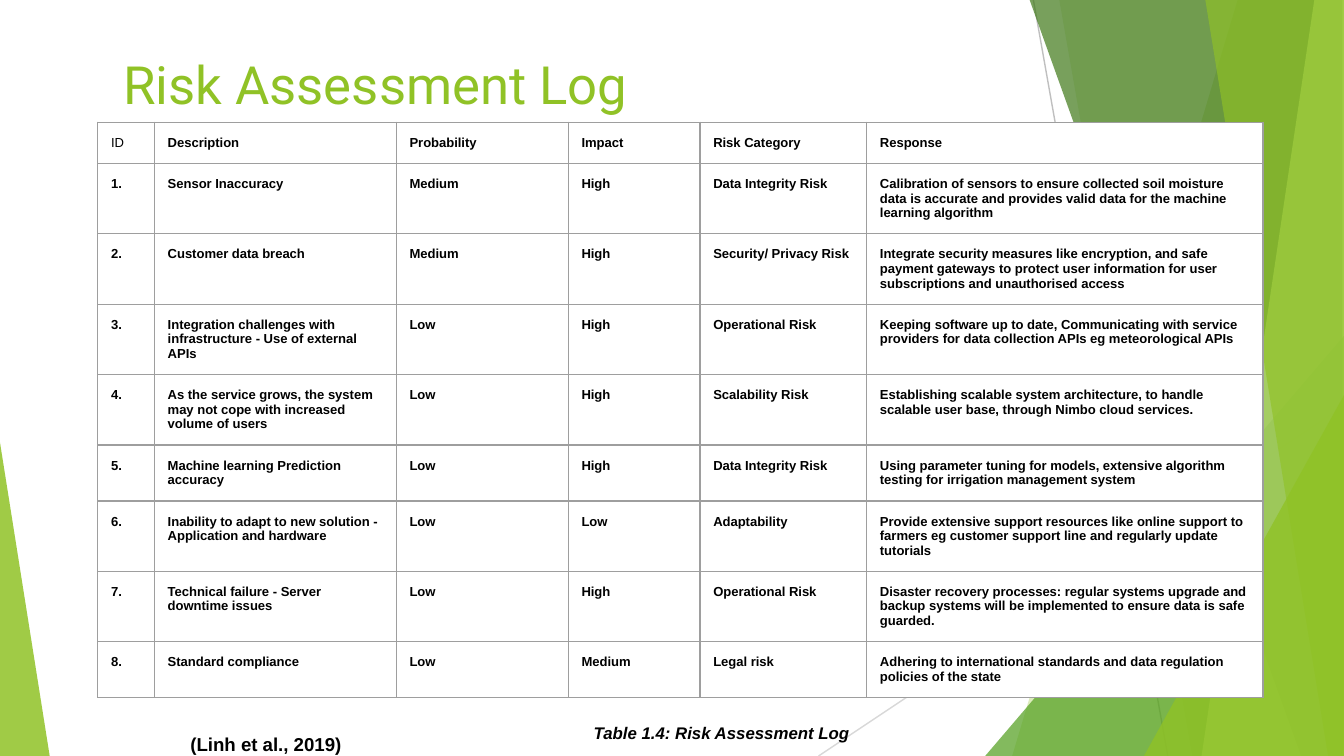
from lxml import etree
from pptx import Presentation
from pptx import util as u
from pptx.dml.color import RGBColor
from pptx.enum import shapes, text
from pptx.oxml.ns import qn

Cm, Pt = u.Cm, u.Pt
W, H = 25.4, 14.29
INSET = Cm(0.25)
C = {
    "white": "FFFFFF", "black": "000000", "border": "9E9E9E",
    "grey": "BFBFBF", "pale": "D8D8D8", "lime": "90C226",
    "green": "54A021", "forest": "3F7818", "light": "BFE471",
}

prs = Presentation()
prs.slide_width, prs.slide_height = Cm(W), Cm(H)
s = prs.slides.add_slide(prs.slide_layouts[6])


def paint(sp, colour, opacity):
    """Fill a shape with a see-through colour, without outline or shadow."""
    sp.shadow.inherit = False
    sp.line.fill.background()
    sp.fill.solid()
    sp.fill.fore_color.rgb = RGBColor.from_string(C[colour])
    clr = sp.fill._xPr.find(qn("a:solidFill"))[0]
    etree.SubElement(clr, qn("a:alpha")).set("val", str(opacity * 1000))


def write(tf, words, size, font="Arial", colour="black", bold=False, italic=False):
    """Put one formatted run in the first paragraph and return the paragraph."""
    p = tf.paragraphs[0]
    r = p.add_run()
    r.text = words
    r.font.name, r.font.size = font, Pt(size)
    r.font.bold, r.font.italic = bold, italic
    r.font.color.rgb = RGBColor.from_string(C[colour])
    return p


# Background lines
for x1, y1, x2, y2, colour in [(19.53, 0, 22.07, H, "grey"),
                               (W, 7.67, 15.47, H, "pale")]:
    line = s.shapes.add_connector(shapes.MSO_CONNECTOR.STRAIGHT,
                                  Cm(x1), Cm(y1), Cm(x2), Cm(y2))
    line.line.color.rgb = RGBColor.from_string(C[colour])
    line.line.width = Pt(0.75)
    etree.SubElement(line._element.spPr, qn("a:effectLst"))

# Background facets, back to front. Bands: top left x, bottom left x, right x.
# Triangles: left, top, width, apex position.
facets = [
    ("band", (23.39, 19.13, W), "lime", 30),
    ("band", (20.02, 22.53, W), "lime", 20),
    ("triangle", (18.62, 6.35, 6.78, 1), "green", 72),
    ("band", (19.46, 24.59, 25.37), "forest", 70),
    ("band", (24.84, 22.71, W), "light", 70),
    ("band", (22.78, 25.1, W), "lime", 65),
    ("triangle", (21.62, 7.47, 3.78, 1), "lime", 80),
    ("triangle", (0, 8.36, 0.94, 0), "lime", 85),
]
for kind, geometry, colour, opacity in facets:
    if kind == "band":
        top, bottom, right = geometry
        fb = s.shapes.build_freeform(Cm(top), 0)
        fb.add_line_segments([(Cm(right), 0), (Cm(right), Cm(H)),
                              (Cm(bottom), Cm(H))], close=True)
        sp = fb.convert_to_shape()
    else:
        left, top, width, apex = geometry
        sp = s.shapes.add_shape(shapes.MSO_SHAPE.ISOSCELES_TRIANGLE,
                                Cm(left), Cm(top), Cm(width), Cm(H - top))
        sp.adjustments[0] = apex
    paint(sp, colour, opacity)

# Risk table
header = ("ID", "Description", "Probability", "Impact", "Risk Category", "Response")
risks = [
    ("Sensor Inaccuracy", "Medium", "High", "Data Integrity Risk",
     "Calibration of sensors to ensure collected soil moisture data is accurate "
     "and provides valid data for the machine learning algorithm"),
    ("Customer data breach", "Medium", "High", "Security/ Privacy Risk",
     "Integrate security measures like encryption, and safe payment gateways to "
     "protect user information for user subscriptions and unauthorised access"),
    ("Integration challenges with infrastructure - Use of external APIs",
     "Low", "High", "Operational Risk",
     "Keeping software up to date, Communicating with service providers for "
     "data collection APIs eg meteorological APIs"),
    ("As the service grows, the system may not cope with increased volume of users",
     "Low", "High", "Scalability Risk",
     "Establishing scalable system architecture, to handle scalable user base, "
     "through Nimbo cloud services."),
    ("Machine learning Prediction accuracy", "Low", "High", "Data Integrity Risk",
     "Using parameter tuning for models, extensive algorithm testing for "
     "irrigation management system"),
    ("Inability to adapt to new solution - Application and hardware",
     "Low", "Low", "Adaptability",
     "Provide extensive support resources like online support to farmers eg "
     "customer support line and regularly update tutorials"),
    ("Technical failure - Server downtime issues", "Low", "High", "Operational Risk",
     "Disaster recovery processes: regular systems upgrade and backup systems "
     "will be implemented to ensure data is safe guarded."),
    ("Standard compliance", "Low", "Medium", "Legal risk",
     "Adhering to international standards and data regulation policies of the state"),
]
rows = [header] + [(f"{n}.", *risk) for n, risk in enumerate(risks, 1)]
col_widths = [1.07, 4.57, 3.25, 2.49, 3.15, 7.49]
row_heights = [0.78, 1.33, 1.33, 1.33, 1.33, 1.06, 1.33, 1.33, 1.06]

table = s.shapes.add_table(len(rows), len(header), Cm(1.85), Cm(2.31),
                           Cm(sum(col_widths)), Cm(sum(row_heights))).table
for col, width in zip(table.columns, col_widths):
    col.width = Cm(width)
for row, height, values in zip(table.rows, row_heights, rows):
    row.height = Cm(height)
    for cell, value in zip(row.cells, values):
        cell.margin_left = cell.margin_right = INSET
        cell.margin_top = cell.margin_bottom = INSET
        tcPr = cell._tc.get_or_add_tcPr()
        for side in ("lnL", "lnR", "lnT", "lnB"):
            ln = etree.SubElement(tcPr, qn(f"a:{side}"), w=str(Pt(0.75)))
            fill = etree.SubElement(ln, qn("a:solidFill"))
            etree.SubElement(fill, qn("a:srgbClr"), val=C["border"])
        cell.fill.solid()
        cell.fill.fore_color.rgb = RGBColor.from_string(C["white"])
        write(cell.text_frame, value, 7, bold=value != "ID")

# Caption, citation and title
labels = [
    ((10.97, 13.46, 6.12, 0.89), "Table 1.4: Risk Assessment Log",
     dict(size=9, bold=True, italic=True)),
    ((3.35, 13.54, 5.21, 0.94), "(Linh et al., 2019)", dict(size=10, bold=True)),
    ((2.08, 0.74, 13, 1.98), "Risk Assessment Log",
     dict(size=28.2, font="Roboto", colour="lime")),
]
for box, words, style in labels:
    tf = s.shapes.add_textbox(*map(Cm, box)).text_frame
    tf.word_wrap = True
    tf.vertical_anchor = text.MSO_ANCHOR.TOP
    tf.margin_left = tf.margin_right = tf.margin_top = tf.margin_bottom = INSET
    p = write(tf, words, **style)
    if words.startswith("("):
        p.line_spacing = 1.15

prs.save("out.pptx")
